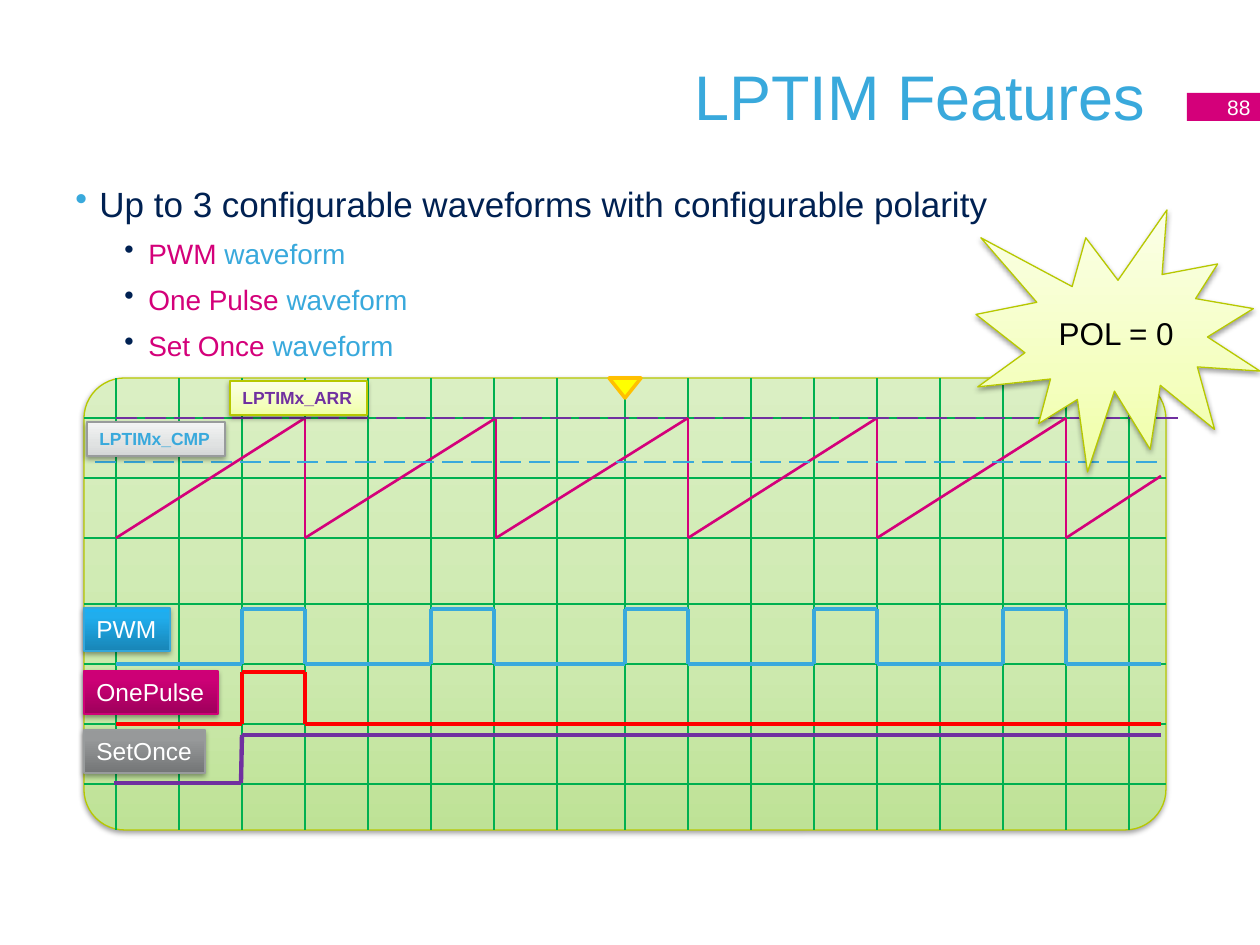
from copy import deepcopy

from lxml import etree
from pptx import Presentation
from pptx.dml.color import RGBColor
from pptx.enum.dml import MSO_LINE
from pptx.enum.shapes import MSO_CONNECTOR, MSO_SHAPE
from pptx.enum.text import MSO_ANCHOR, MSO_AUTO_SIZE, PP_ALIGN
from pptx.oxml.ns import qn
from pptx.util import Pt

STRAIGHT = MSO_CONNECTOR.STRAIGHT
DASH = MSO_LINE.LONG_DASH
RECT, ROUND = MSO_SHAPE.RECTANGLE, MSO_SHAPE.ROUNDED_RECTANGLE
BURST, MARK = MSO_SHAPE.EXPLOSION1, MSO_SHAPE.ISOSCELES_TRIANGLE
LEFT, MID, RIGHT = PP_ALIGN.LEFT, PP_ALIGN.CENTER, PP_ALIGN.RIGHT
TOP, CENTER = MSO_ANCHOR.TOP, MSO_ANCHOR.MIDDLE
FIT = MSO_AUTO_SIZE.SHAPE_TO_FIT_TEXT
SCALE = 914400 / 126
FONT = "Arial"
COLORS = {
    "sky": "39A9DC", "navy": "002152", "pink": "D4007A", "green": "00B050",
    "red": "FF0000", "plum": "7030A0", "lime": "B7C800", "white": "FFFFFF",
    "black": "000000", "yellow": "FFFF00", "gold": "FFC000",
    "blue edge": "34A7DB", "pink edge": "CF0077", "gray edge": "989B9C",
    "leaf 1": "BEE296", "leaf 2": "CCE9AD", "leaf 3": "DAEFC3",
    "blue 1": "1885B6", "blue 2": "20ADED", "blue 3": "1CAFF2",
    "rose 1": "9E005B", "rose 2": "CD0076", "rose 3": "CE0077",
    "gray 1": "747677", "gray 2": "97999A", "gray 3": "979A9B",
    "cream 1": "F0FFA5", "cream 2": "F4FFBF", "cream 3": "FBFFE7",
    "pale 1": "D4D6D7", "pale 2": "E0E2E2", "pale 3": "F3F4F4",
}
PANEL = (84, 378, 1082, 452)
COLS = [116 + 63 * i for i in range(8)] + [625 + 63 * i for i in range(9)]
ROWS = [418, 478, 538, 604, 664, 724, 784]
PEAKS = [305, 496, 688, 877, 1066]
PULSES = [242, 431, 625, 814, 1003]
START, END = 116, 1161
BULLETS = ["PWM", "One Pulse", "Set Once"]
TAGS = [
    ("PWM", (84, 608, 86, 43), "blue", "blue edge", 0.8, 14, "white"),
    ("OnePulse", (84, 671, 134, 43), "rose", "pink edge", 0.8, 14, "white"),
    ("SetOnce", (84, 730, 121, 43), "gray", "gray edge", 0.8, 14, "white"),
    ("LPTIMx_CMP", (87, 422, 138, 34), "pale", "gray edge", 0.35, 10, "sky"),
    ("LPTIMx_ARR", (230, 381, 137, 34), "cream", "lime", 0.35, 10, "plum"),
]


def px(num):
    """Turn pixels into EMU."""
    return round(num * SCALE)


def rgb(name):
    """Look up a colour by name."""
    return RGBColor.from_string(COLORS[name])


def style(run, size, color, bold=False):
    """Set the font of a run."""
    font = run.font
    font.name, font.size, font.bold = FONT, Pt(size), bold
    font.color.rgb = rgb(color)


def write(shape, text, size, color, align=LEFT, anchor=TOP, bold=False):
    """Put one styled line of text in a shape."""
    frame = shape.text_frame
    frame.text = text
    frame.vertical_anchor = anchor
    para = frame.paragraphs[0]
    para.alignment = align
    style(para.runs[0], size, color, bold)


def add_box(shapes, kind, box, fill, edge=None, width=0.75):
    """Add a flat shape."""
    shape = shapes.add_shape(kind, *map(px, box))
    shape.shadow.inherit = False
    shape.fill.solid()
    shape.fill.fore_color.rgb = rgb(fill)
    if edge:
        shape.line.color.rgb = rgb(edge)
        shape.line.width = Pt(width)
    else:
        shape.line.fill.background()
    return shape


def add_glow(shapes, kind, box, tone, edge, stop=0.35):
    """Add a shape with a three-stop gradient and a soft shadow."""
    shape = add_box(shapes, kind, box, f"{tone} 1", edge)
    props = shape._element.spPr
    shape.fill.gradient()
    shape.fill.gradient_angle = 90
    stops = props.find(".//" + qn("a:gsLst"))
    stops.append(deepcopy(stops[-1]))
    for i, spot in enumerate((0, stop, 1)):
        grad = shape.fill.gradient_stops[i]
        grad.position = spot
        grad.color.rgb = rgb(f"{tone} {i + 1}")
    shade = etree.SubElement(
        props.find(qn("a:effectLst")), qn("a:outerShdw"), blurRad="39370",
        dist="20320", dir="5400000", rotWithShape="0")
    color = etree.SubElement(shade, qn("a:srgbClr"), val=COLORS["black"])
    etree.SubElement(color, qn("a:alpha"), val="38000")
    return shape


def add_line(shapes, start, end, color, width, dash=None):
    """Add a straight line between two points."""
    line = shapes.add_connector(STRAIGHT, *map(px, start + end))
    line.line.color.rgb = rgb(color)
    line.line.width = Pt(width)
    if dash:
        line.line.dash_style = dash
    etree.SubElement(line._element.spPr, qn("a:effectLst"))
    return line


def add_trace(shapes, points, color, width):
    """Join points with straight lines."""
    for start, end in zip(points, points[1:]):
        add_line(shapes, start, end, color, width)


def add_grid(shapes):
    """Add the panel with its grid and marker."""
    left, top, wide, high = PANEL
    right, base = left + wide, top + high
    panel = add_glow(shapes, ROUND, PANEL, "leaf", "lime")
    panel.adjustments[0] = 0.09
    for x in COLS:
        line = add_line(shapes, (x, base), (x, top), "green", 1)
        if x == left + wide // 2:
            line.begin_connect(panel, 2)
            line.end_connect(panel, 0)
    for y in ROWS:
        line = add_line(shapes, (left, y), (right, y), "green", 1)
        if y == top + high // 2:
            line.begin_connect(panel, 1)
            line.end_connect(panel, 3)
    mark = add_box(shapes, MARK, (609, 378, 32, 20), "yellow", "gold", 2)
    mark.rotation = 180


def add_waves(shapes):
    """Add the counter and the three output waveforms."""
    saw = [(START, 538)]
    for x in PEAKS:
        saw += [(x, 418), (x, 538)]
    add_trace(shapes, saw + [(END, 476)], "pink", 1.5)
    add_line(shapes, (95, 462), (END, 462), "sky", 1.5, DASH)
    pwm = [(START, 664)]
    for x in PULSES:
        pwm += [(x, 664), (x, 609), (x + 63, 609), (x + 63, 664)]
    add_trace(shapes, pwm + [(END, 664)], "sky", 2.5)
    once = [(START, 724), (242, 724), (242, 672), (305, 672), (305, 724),
            (END, 724)]
    add_trace(shapes, once, "red", 2.5)
    step = [(114, 783), (241, 783), (242, 735), (END, 735)]
    add_trace(shapes, step, "plum", 2.5)


def add_tag(shapes, text, box, tone, edge, stop, size, color):
    """Add a signal label."""
    tag = add_glow(shapes, RECT, box, tone, edge, stop)
    write(tag, text, size, color, bold=size == 10)
    tag.text_frame.word_wrap = False
    tag.text_frame.auto_size = FIT


def set_bullet(para, left, color):
    """Give a paragraph a hanging bullet."""
    para.space_after = Pt(7)
    props = para._p.get_or_add_pPr()
    props.set("marL", str(px(left)))
    props.set("indent", str(px(-24)))
    tint = etree.SubElement(props, qn("a:buClr"))
    etree.SubElement(tint, qn("a:srgbClr"), val=COLORS[color])
    etree.SubElement(props, qn("a:buChar"), char="•")


def add_list(shapes):
    """Add the bullet list."""
    frame = shapes.add_textbox(*map(px, (63, 176, 1134, 190))).text_frame
    frame.word_wrap = True
    para = frame.paragraphs[0]
    para.text = "Up to 3 configurable waveforms with configurable polarity"
    style(para.runs[0], 20, "navy")
    set_bullet(para, 24, "sky")
    for name in BULLETS:
        para = frame.add_paragraph()
        para.text = name
        para.level = 1
        para.add_run().text = " waveform"
        for run, color in zip(para.runs, ("pink", "sky")):
            style(run, 16, color)
        set_bullet(para, 73, "navy")


def main():
    """Build the slide."""
    deck = Presentation()
    deck.slide_width, deck.slide_height = px(1260), px(945)
    shapes = deck.slides.add_slide(deck.slide_layouts[5]).shapes
    title = shapes.title
    title.left, title.top, title.width, title.height = map(
        px, (63, 16, 1113, 158))
    write(title, "LPTIM Features ", 36, "sky", RIGHT, CENTER)
    add_list(shapes)
    add_grid(shapes.add_group_shape().shapes)
    page = add_box(shapes, RECT, (1187, 93, 76, 28), "pink")
    write(page, "88", 12, "white", RIGHT, CENTER)
    page.text_frame.word_wrap = False
    add_waves(shapes)
    add_line(shapes, (START, 418), (1182, 418), "plum", 1.5, DASH)
    burst = add_glow(shapes, BURST, (976, 210, 284, 262), "cream", "lime")
    write(burst, "POL = 0", 18, "black", MID, CENTER)
    for tag in TAGS:
        add_tag(shapes, *tag)
    deck.save("out.pptx")


if __name__ == "__main__":
    main()
